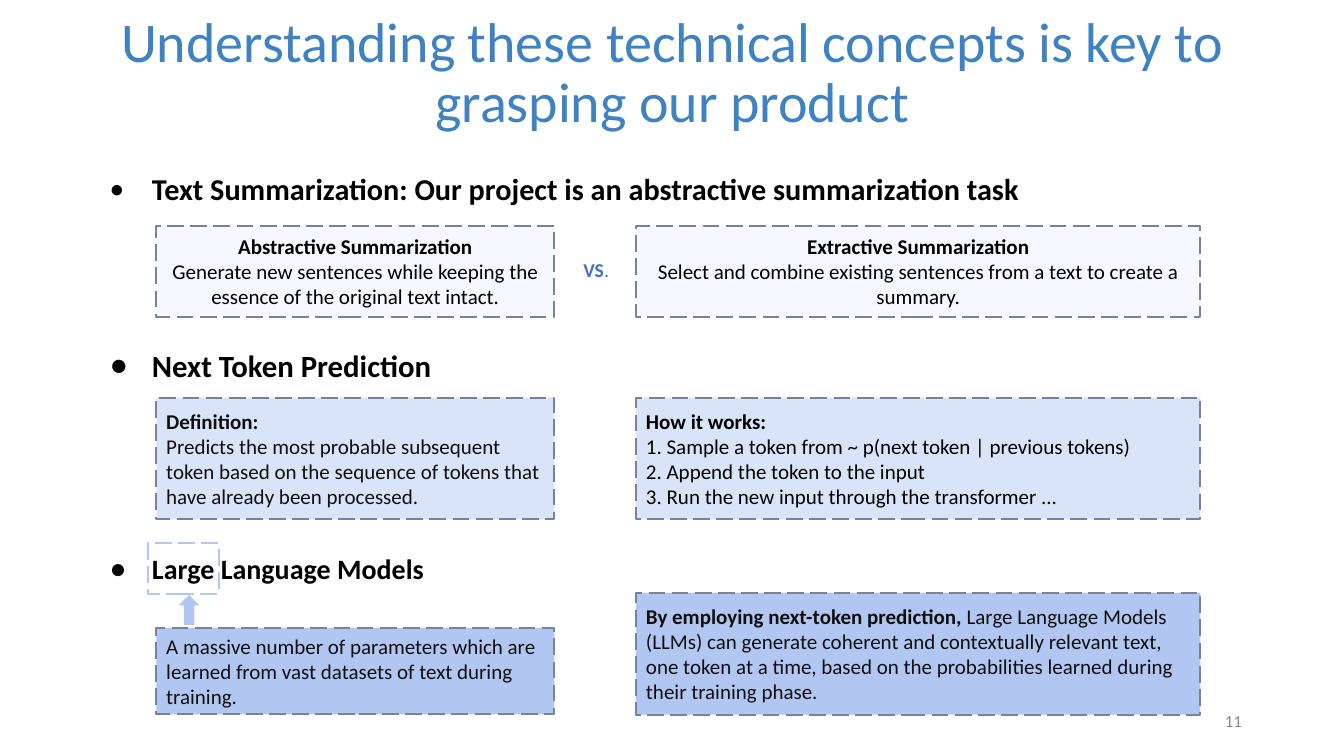
from lxml import etree
from pptx import Presentation
from pptx import util as u
from pptx.dml.color import RGBColor
from pptx.enum import dml, shapes, text
from pptx.oxml import ns

BLACK, INK, SLATE = "000000", "0F0F0F", "778495"
PALE, LIGHT, MEDIUM = "F7F8FF", "DAE4F9", "B2C6F2"
LEFT, CENTER, RIGHT = text.PP_ALIGN.LEFT, text.PP_ALIGN.CENTER, text.PP_ALIGN.RIGHT
LEFT_COLUMN, RIGHT_COLUMN = (3.94, 10.03), (16.03, 14.22)

HEADINGS = [
    (1, 3.92, 1.78, 21.6, 80, "Text Summarization: Our project is an abstractive summarization task"),
    (2, 8.36, 1.78, 22, 100, "Next Token Prediction"),
    (3, 13.23, 2.29, 20, 100, "Large Language Models"),
]
CARDS = [
    (LEFT_COLUMN, 5.69, 2.29, PALE, BLACK, CENTER, [
        [("Abstractive Summarization", True)],
        [("Generate new sentences while keeping the essence of the original text intact.", False)]]),
    (RIGHT_COLUMN, 5.69, 2.29, PALE, BLACK, CENTER, [
        [("Extractive Summarization", True)],
        [("Select and combine existing sentences from a text to create a summary.", False)]]),
    (LEFT_COLUMN, 10.02, 3.07, LIGHT, INK, LEFT, [
        [("Definition:", True)],
        [("Predicts the most probable subsequent token based on the sequence of tokens "
          "that have already been processed.", False)]]),
    (RIGHT_COLUMN, 10.02, 3.07, LIGHT, BLACK, LEFT, [
        [("How it works:", True)],
        [("1. Sample a token from ~ p(next token | previous tokens)", False)],
        [("2. Append the token to the input", False)],
        [("3. Run the new input through the transformer ...", False)]]),
    (LEFT_COLUMN, 15.82, 2.18, MEDIUM, INK, LEFT, [
        [("A massive number of parameters which are learned from vast datasets of text "
          "during training.", False)]]),
    (RIGHT_COLUMN, 14.94, 3.07, MEDIUM, INK, LEFT, [
        [("By employing next-token prediction, ", True),
         ("Large Language Models (LLMs) can generate coherent and contextually relevant text, "
          "one token at a time, based on the probabilities learned during their training phase.",
          False)]]),
]


def color(hex_value):
    """Turn a hex string into a colour."""
    return RGBColor.from_string(hex_value)


def set_all(target, values):
    """Set every attribute in a dict of format values."""
    for name, value in values.items():
        setattr(target, name, value)


def place(shape, left, top, width, height):
    """Move and size a shape in centimetres."""
    sides = {"left": left, "top": top, "width": width, "height": height}
    set_all(shape, {name: u.Cm(value) for name, value in sides.items()})


def write(shape, paragraphs, size, ink, align=LEFT, spacing=1.0, inset=0.13,
          anchor=text.MSO_ANCHOR.MIDDLE):
    """Fill a shape with paragraphs made of (words, bold) runs."""
    frame = shape.text_frame
    set_all(frame, {
        "word_wrap": True, "auto_size": text.MSO_AUTO_SIZE.NONE, "vertical_anchor": anchor,
        "margin_left": u.Cm(0.25), "margin_right": u.Cm(0.25),
        "margin_top": u.Cm(inset), "margin_bottom": u.Cm(inset)})
    for index, runs in enumerate(paragraphs):
        paragraph = frame.add_paragraph() if index else frame.paragraphs[0]
        set_all(paragraph, {"alignment": align, "line_spacing": spacing, "space_before": u.Pt(0)})
        for words, bold in runs:
            run = paragraph.add_run()
            set_all(run, {"text": words})
            set_all(run.font, {"name": "Calibri", "size": u.Pt(size), "bold": bold})
            run.font.color.rgb = color(ink)


def add_bullet(paragraph, percent):
    """Give a paragraph a hanging black round bullet."""
    properties = paragraph._p.get_or_add_pPr()
    properties.set("marL", str(u.Cm(1.27)))
    properties.set("indent", str(u.Cm(-1.07)))
    bullet_color = etree.SubElement(properties, ns.qn("a:buClr"))
    etree.SubElement(bullet_color, ns.qn("a:srgbClr"), val=BLACK)
    etree.SubElement(properties, ns.qn("a:buSzPct"), val=str(percent * 1000))
    etree.SubElement(properties, ns.qn("a:buChar"), char="●")


def add_heading(slide, index, top, height, size, bullet_percent, words):
    """Put a bulleted section heading in a body placeholder."""
    heading = slide.placeholders[index]
    place(heading, 2.31, top, 26.52, height)
    add_bullet(heading.text_frame.paragraphs[0], bullet_percent)
    write(heading, [[(words, True)]], size, BLACK, spacing=0.9)


def add_figure(slide, kind, bounds, fill=None, outline=None):
    """Draw a preset shape with an optional fill and dashed outline."""
    figure = slide.shapes.add_shape(kind, 0, 0, 0, 0)
    place(figure, *bounds)
    figure.shadow.inherit = False
    if fill:
        figure.fill.solid()
        figure.fill.fore_color.rgb = color(fill)
    else:
        figure.fill.background()
    if outline:
        set_all(figure.line, {"width": u.Pt(1.5), "dash_style": dml.MSO_LINE.LONG_DASH})
        figure.line.color.rgb = color(outline)
    else:
        figure.line.fill.background()
    return figure


def add_card(slide, column, top, height, fill, ink, align, paragraphs):
    """Draw a dashed explanation card in a column."""
    left, width = column
    card = add_figure(slide, shapes.MSO_SHAPE.RECTANGLE, (left, top, width, height), fill, SLATE)
    write(card, paragraphs, 15, ink, align, inset=0.25)


def add_label(slide, bounds, runs, size, ink, **layout):
    """Add a short free-standing label."""
    label = slide.shapes.add_textbox(0, 0, 0, 0)
    place(label, *bounds)
    write(label, [runs], size, ink, **layout)


def main():
    """Build the slide and save it."""
    deck = Presentation()
    set_all(deck, {"slide_width": u.Cm(33.87), "slide_height": u.Cm(19.05)})
    slide = deck.slides.add_slide(deck.slide_layouts.get_by_name("Comparison"))
    spare = slide.placeholders[4]._element
    spare.getparent().remove(spare)

    title = slide.shapes.title
    place(title, 1.7, 0.03, 30.48, 3.68)
    write(title, [[("Understanding these technical concepts is key to grasping our product", False)]],
          40, "3F82C4", CENTER, spacing=0.9)
    for heading in HEADINGS:
        add_heading(slide, *heading)
    for card in CARDS:
        add_card(slide, *card)
    add_label(slide, (14.45, 6.38, 1.17, 0.86), [("VS", True), (".", False)], 14, "4472C4",
              anchor=text.MSO_ANCHOR.TOP)
    add_figure(slide, shapes.MSO_SHAPE.UP_ARROW, (4.5, 14.99, 0.53, 0.76), fill=MEDIUM)
    add_figure(slide, shapes.MSO_SHAPE.RECTANGLE, (3.73, 13.69, 1.78, 1.27), outline=MEDIUM)
    add_label(slide, (23.93, 17.65, 7.62, 1.02), [("11", False)], 12, "888888", align=RIGHT)
    deck.save("out.pptx")


if __name__ == "__main__":
    main()
